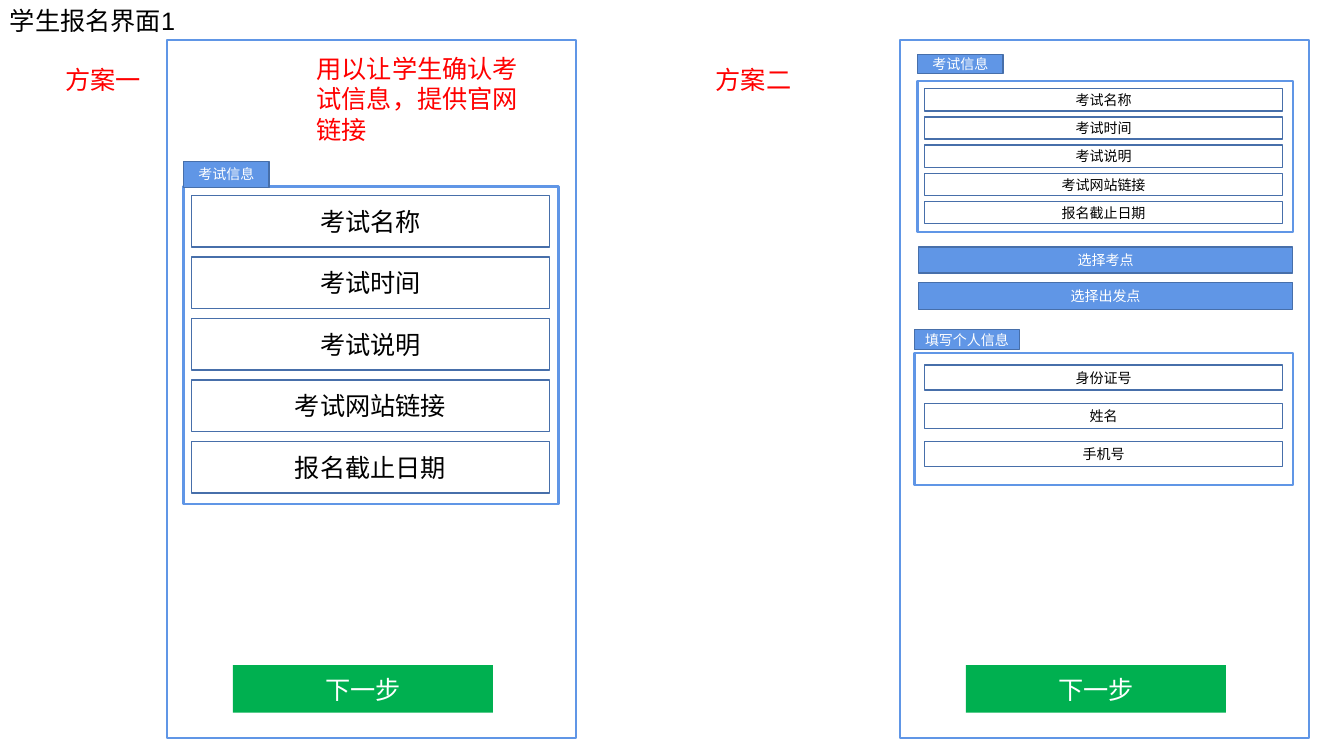
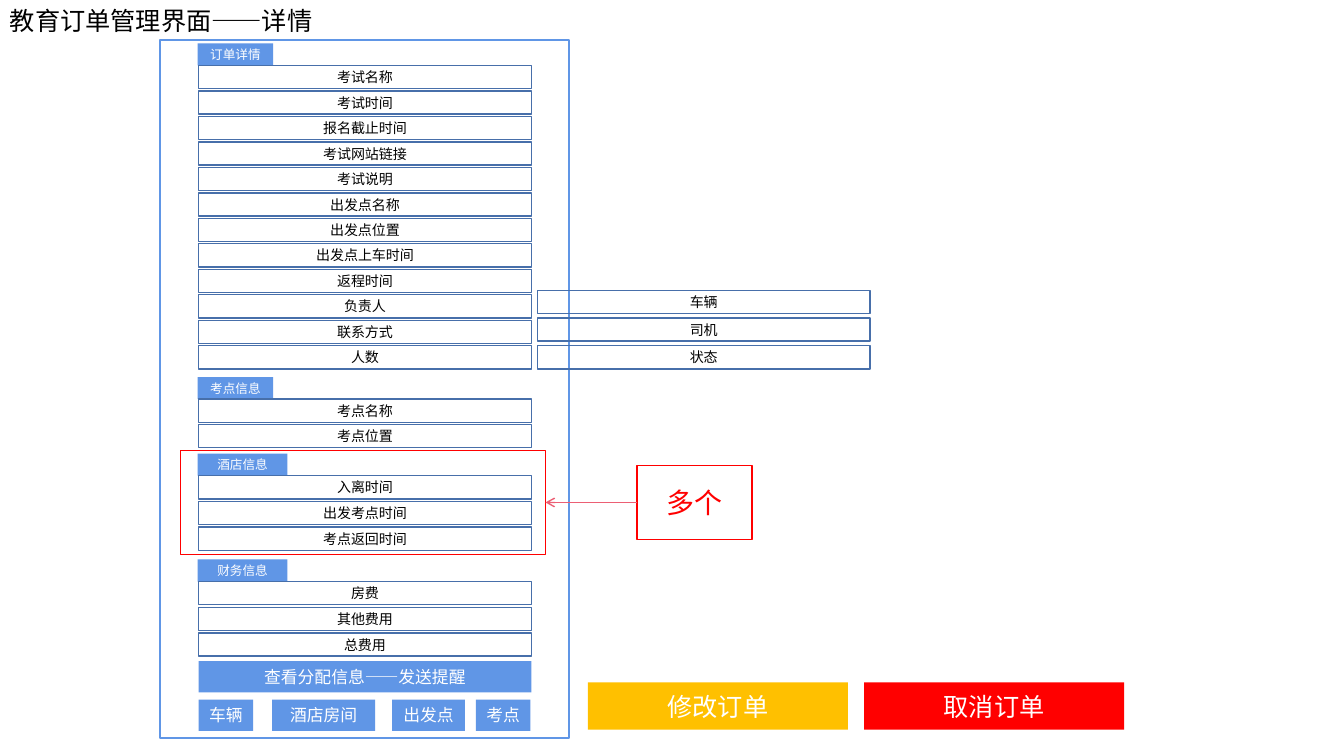
import dataclasses

import pptx
import pptx.dml.color
import pptx.enum.shapes
import pptx.enum.text
import pptx.oxml
import pptx.oxml.ns
import pptx.util

Inches = pptx.util.Inches
ALIGN = pptx.enum.text.PP_ALIGN
ANCHOR = pptx.enum.text.MSO_ANCHOR
SHAPE = pptx.enum.shapes.MSO_SHAPE


@dataclasses.dataclass(frozen=True)
class Theme:
    font: str = "Arial"
    black: str = "000000"
    white: str = "FFFFFF"
    blue: str = "6096E6"
    edge: str = "476FAA"
    green: str = "00B050"
    amber: str = "FFC000"
    red: str = "FF0000"
    pink: str = "EC5F74"
    note: int = 20
    large: int = 18
    medium: int = 12
    small: int = 10
    tiny: int = 9
    thin: float = 1
    thick: float = 1.5


T = Theme()
BUTTON_W, BUTTON_H = 2.58, 0.47


def rgb(value):
    return pptx.dml.color.RGBColor.from_string(value)


# Basic elements
def write(sp, text, size=T.large, color=T.black, align=ALIGN.LEFT,
          anchor=ANCHOR.TOP, margin=0.1):
    tf = sp.text_frame
    tf.word_wrap = True
    tf.vertical_anchor = anchor
    tf.margin_left = tf.margin_right = Inches(margin)
    p = tf.paragraphs[0]
    p.alignment = align
    r = p.add_run()
    r.text = text
    r.font.name = T.font
    r.font.size = pptx.util.Pt(size)
    r.font.color.rgb = rgb(color)


def add_text(s, text, x, y, w, h=0.4, **fmt):
    write(s.shapes.add_textbox(*map(Inches, (x, y, w, h))), text, **fmt)


def add_box(s, x, y, w, h, text="", fill=None, line=None, weight=T.thin, **fmt):
    sp = s.shapes.add_shape(SHAPE.RECTANGLE, *map(Inches, (x, y, w, h)))
    sp.shadow.inherit = False
    if fill:
        sp.fill.solid()
        sp.fill.fore_color.rgb = rgb(fill)
    else:
        sp.fill.background()
    if line:
        sp.line.color.rgb = rgb(line)
        sp.line.width = pptx.util.Pt(weight)
    else:
        sp.line.fill.background()
    if text:
        write(sp, text, align=ALIGN.CENTER, anchor=ANCHOR.MIDDLE, margin=0, **fmt)
    return sp


def add_arrow(s, start, start_side, end, end_side):
    c = s.shapes.add_connector(pptx.enum.shapes.MSO_CONNECTOR.STRAIGHT, 0, 0, 0, 0)
    c.begin_connect(start, start_side)
    c.end_connect(end, end_side)
    c.line.color.rgb = rgb(T.pink)
    c.line.width = pptx.util.Pt(T.thin)
    ln = c.line._get_or_add_ln()
    ln.append(pptx.oxml.parse_xml(
        f'<a:tailEnd {pptx.oxml.ns.nsdecls("a")} type="arrow"/>'))
    c._element.spPr.append(pptx.oxml.parse_xml(
        f'<a:effectLst {pptx.oxml.ns.nsdecls("a")}/>'))


# Interface parts
def add_panel(s, x, y, w, h):
    add_box(s, x, y, w, h, line=T.blue, weight=T.thick)


def add_phone(s, x):
    add_panel(s, x, 0.4, 4.05, 6.92)


def add_button(s, text, x, y, fill):
    add_box(s, x, y, BUTTON_W, BUTTON_H, text, fill=fill, color=T.white)


def add_label(s, text, x, y, w, h, size=T.small, line=T.edge):
    add_box(s, x, y, w, h, text, fill=T.blue, line=line, size=size, color=T.white)


def add_rows(s, labels, x, first, last, w, h, size=T.small):
    """Spread the rows evenly between the first and the last top."""
    pitch = (last - first) / (len(labels) - 1)
    for i, label in enumerate(labels):
        add_box(s, x, first + i * pitch, w, h, label, line=T.edge, size=size)


# Slides
def build_signup(s):
    exam = ["考试名称", "考试时间", "考试说明", "考试网站链接", "报名截止日期"]
    add_text(s, "学生报名界面1", 0, 0, 1.84)
    for name, label_x, phone_x in (("方案一", 0.55, 1.66), ("方案二", 7, 8.93)):
        add_text(s, name, label_x, 0.59, 1.05, color=T.red)
        add_phone(s, phone_x)
        add_button(s, "下一步", phone_x + 0.65, 6.6, T.green)

    # First plan: exam details only
    add_text(s, "用以让学生确认考试信息，提供官网链接", 3.04, 0.48, 2.42, 1.01,
             color=T.red)
    add_panel(s, 1.82, 1.85, 3.72, 3.15)
    add_label(s, "考试信息", 1.82, 1.6, 0.85, 0.26)
    add_rows(s, exam, 1.9, 1.94, 4.38, 3.55, 0.51, size=T.large)

    # Second plan: exam details, choices and personal details
    add_panel(s, 9.1, 0.8, 3.72, 1.5)
    add_label(s, "考试信息", 9.1, 0.54, 0.85, 0.19)
    add_rows(s, exam, 9.17, 0.88, 2, 3.55, 0.22)
    add_label(s, "选择考点", 9.11, 2.45, 3.71, 0.26)
    add_label(s, "选择出发点", 9.11, 2.8, 3.71, 0.27)
    add_panel(s, 9.07, 3.5, 3.75, 1.31)
    add_label(s, "填写个人信息", 9.07, 3.27, 1.04, 0.2)
    add_rows(s, ["身份证号", "姓名", "手机号"], 9.17, 3.62, 4.38, 3.55, 0.25)


def build_order(s):
    add_text(s, "教育订单管理界面——详情", 0, 0, 3.25)
    add_phone(s, 1.59)

    # Sections: heading, heading width, first and last row top, rows
    sections = [
        ("订单详情", 0.75, 0.65, 3.43,
         ["考试名称", "考试时间", "报名截止时间", "考试网站链接", "考试说明",
          "出发点名称", "出发点位置", "出发点上车时间", "返程时间", "负责人",
          "联系方式", "人数"]),
        ("考点信息", 0.75, 3.96, 4.21, ["考点名称", "考点位置"]),
        ("酒店信息", 0.89, 4.72, 5.23, ["入离时间", "出发考点时间", "考点返回时间"]),
        ("财务信息", 0.89, 5.77, 6.28, ["房费", "其他费用", "总费用"]),
    ]
    for heading, w, first, last, labels in sections:
        add_label(s, heading, 1.96, first - 0.22, w, 0.22, size=T.tiny, line=None)
        add_rows(s, labels, 1.97, first, last, 3.3, 0.23)
    add_rows(s, ["车辆", "司机", "状态"], 5.33, 2.88, 3.43, 3.3, 0.23)

    # Assignment buttons
    for text, x, y, w in (("查看分配信息——发送提醒", 1.97, 6.56, 3.3),
                          ("车辆", 1.97, 6.94, 0.54),
                          ("酒店房间", 2.7, 6.94, 1.02),
                          ("出发点", 3.89, 6.94, 0.72),
                          ("考点", 4.72, 6.94, 0.54)):
        add_label(s, text, x, y, w, 0.31, size=T.medium, line=None)

    # Repeatable hotel section
    frame = add_box(s, 1.79, 4.47, 3.62, 1.03, line=T.red)
    note = add_box(s, 6.32, 4.62, 1.14, 0.73, "多个", line=T.red,
                   size=T.note, color=T.red)
    add_arrow(s, note, 1, frame, 3)

    # Order actions
    add_button(s, "修改订单", 5.83, 6.77, T.amber)
    add_button(s, "取消订单", 8.57, 6.77, T.red)


def main():
    prs = pptx.Presentation()
    prs.slide_width, prs.slide_height = Inches(13.33), Inches(7.5)
    for build in (build_signup, build_order):
        build(prs.slides.add_slide(prs.slide_layouts[6]))
    prs.save("out.pptx")


if __name__ == "__main__":
    main()
